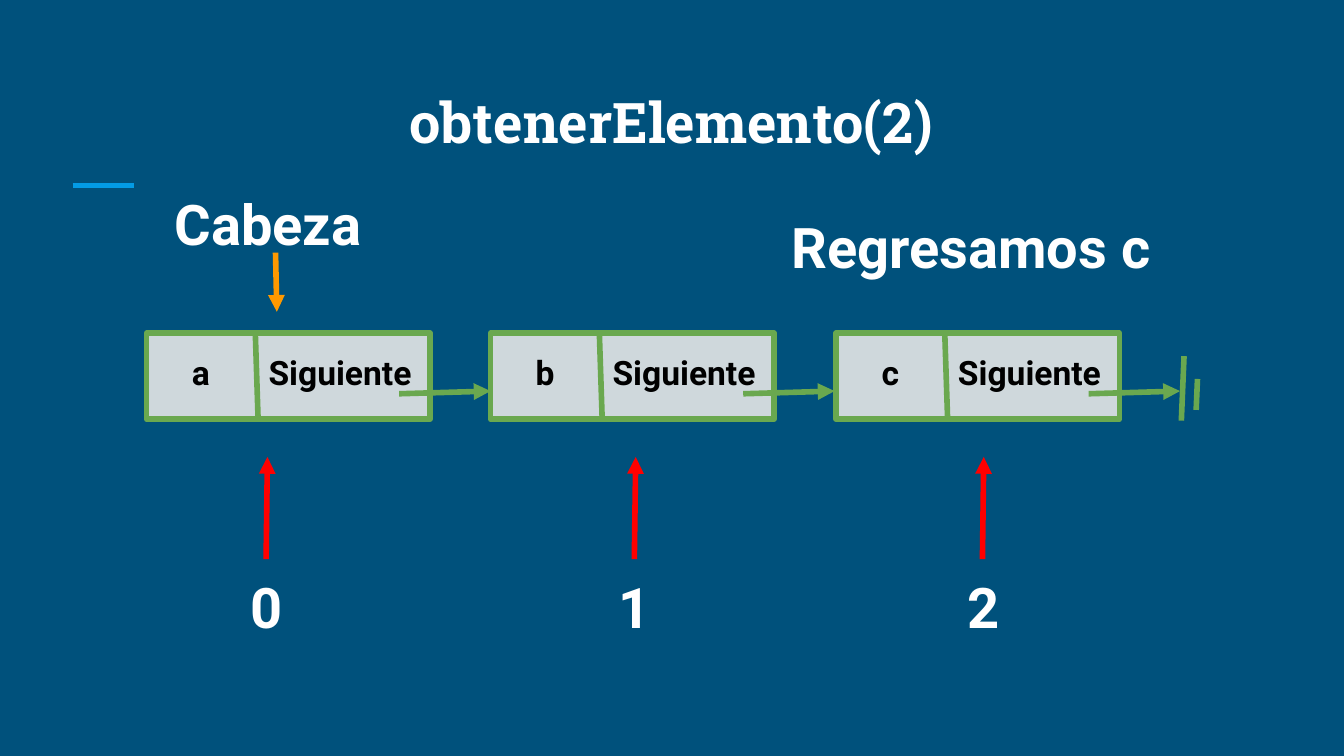
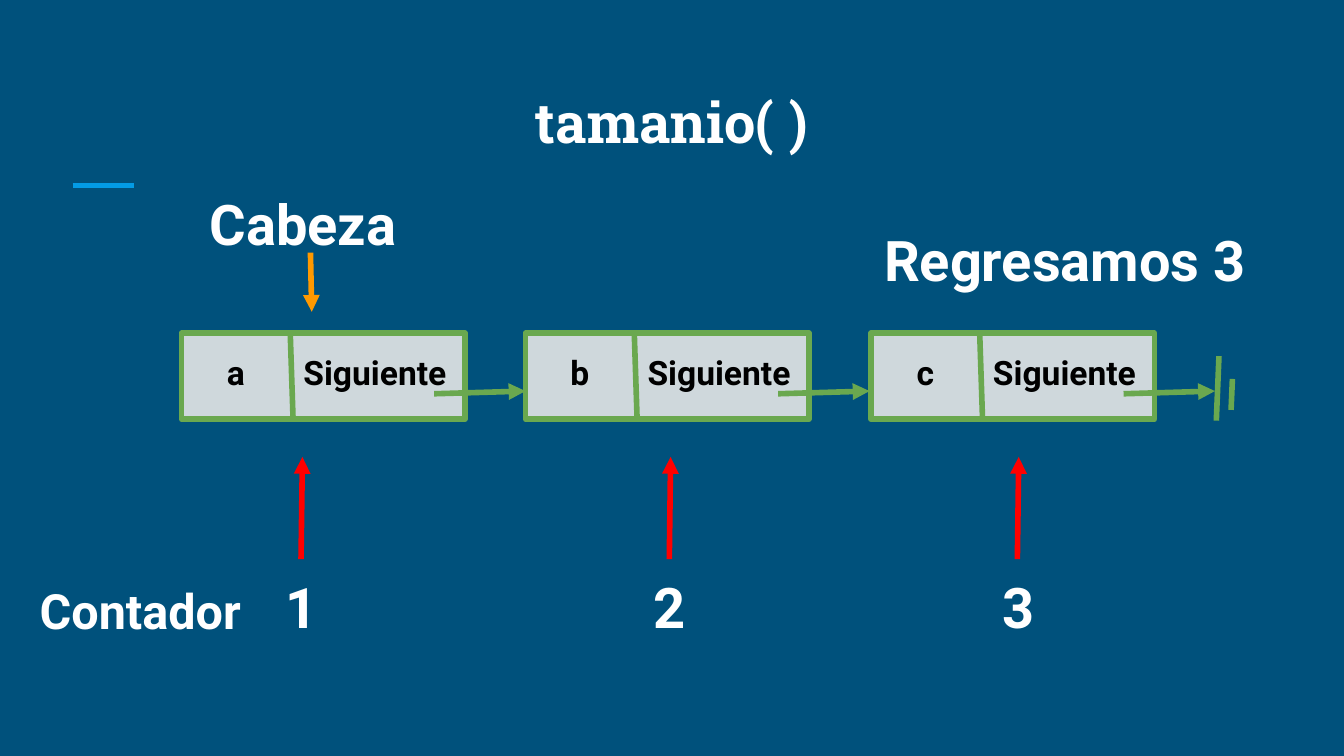
from lxml import etree
from pptx import Presentation
from pptx import util as u
from pptx.dml.color import RGBColor
from pptx.enum import shapes, text
from pptx.oxml import ns

SLIDES = [
    dict(title="obtenerElemento(2)", left=109, marks="012",
         notes=[("Regresamos c", (532, 148, 381, 57), 30)]),
    dict(title="tamanio( )", left=135, marks="123",
         notes=[("Regresamos 3", (602, 158, 381, 57), 30),
                ("Contador", (14, 422, 181, 64), 26)]),
]
NODES = "abc"
LINK = "Siguiente"
HEAD = "Cabeza"
MARKS = (-1, 273, 532)
GROUND = [(772, 265, 770, 313), (782, 282, 781, 305)]
PITCH = 256.5

HEX = dict(back="00517C", bar="039BE5", cell="CFD8DC", edge="6AA84F",
           head="FF9900", mark="FF0000", light="FFFFFF", dark="000000")
SCALE = u.Inches(1) // 100


def px(*nums):
    return [u.Emu(round(n * SCALE)) for n in nums]


def rgb(key):
    return RGBColor.from_string(HEX[key])


def label(to, words, box, size=30, ink="light", face="Roboto",
          align="CENTER", anchor="TOP"):
    frame = to.add_textbox(*px(*box)).text_frame
    pad = u.Inches(0.1)
    look = dict(word_wrap=True, margin_left=pad, margin_right=pad,
                margin_top=pad, margin_bottom=pad,
                vertical_anchor=getattr(text.MSO_ANCHOR, anchor))
    for key, val in look.items():
        setattr(frame, key, val)
    para = frame.paragraphs[0]
    para.alignment = getattr(text.PP_ALIGN, align)
    run = para.add_run()
    run.text = words
    for key, val in dict(name=face, size=u.Pt(size), bold=True).items():
        setattr(run.font, key, val)
    run.font.color.rgb = rgb(ink)


def line(to, ends, ink, arrow=False):
    link = to.add_connector(shapes.MSO_CONNECTOR.STRAIGHT, *px(*ends))
    link.line.color.rgb = rgb(ink)
    link.line.width = u.Pt(3)
    if arrow:
        tail = etree.SubElement(link.line._get_or_add_ln(), ns.qn("a:tailEnd"))
        tail.set("type", "triangle")
    etree.SubElement(link._element.spPr, ns.qn("a:effectLst"))


def node(to, x, name):
    box = to.add_shape(shapes.MSO_SHAPE.RECTANGLE, *px(x, 248, 211, 64))
    box.shadow.inherit = False
    box.fill.solid()
    box.fill.fore_color.rgb = rgb("cell")
    box.line.color.rgb = rgb("edge")
    box.line.width = u.Pt(3)
    label(to, name, (x, 252, 81, 56), 18, "dark")
    label(to, LINK, (x + 81, 252, 130, 56), 18, "dark", align="LEFT")
    line(to, (x + 81, 249, x + 83, 310), "edge")
    line(to, (x + 188, 293, x + 256, 291), "edge", True)


def mark(to, x, name):
    line(to, (x + 90, 416, x + 91, 340), "mark", True)
    label(to, name, (x, 416, 181, 57))


def build(deck, item):
    to = deck.slides.add_slide(deck.slide_layouts[6]).shapes
    left = item["left"]
    line(to, (54, 138, 100, 138), "bar")
    label(to, item["title"], (42, 50, 915, 75), face="Roboto Slab",
          anchor="BOTTOM")
    for i, name in enumerate(NODES):
        node(to.add_group_shape().shapes, left + int(PITCH * i), name)
    pair = to.add_group_shape().shapes
    for x1, y1, x2, y2 in GROUND:
        line(pair, (left + x1 - 0, y1, left + x2, y2), "edge")
    line(to, (left + 96, 188, left + 97, 232), "head", True)
    label(to, HEAD, (left, 131, 181, 57))
    for x, name in zip(MARKS, item["marks"]):
        mark(to.add_group_shape().shapes, left + x, name)
    for words, box, size in item["notes"]:
        label(to, words, box, size)


def main():
    deck = Presentation()
    deck.slide_width, deck.slide_height = px(1000, 562.5)
    fill = deck.slide_master.background.fill
    fill.solid()
    fill.fore_color.rgb = rgb("back")
    for item in SLIDES:
        build(deck, item)
    deck.save("out.pptx")


if __name__ == "__main__":
    main()
